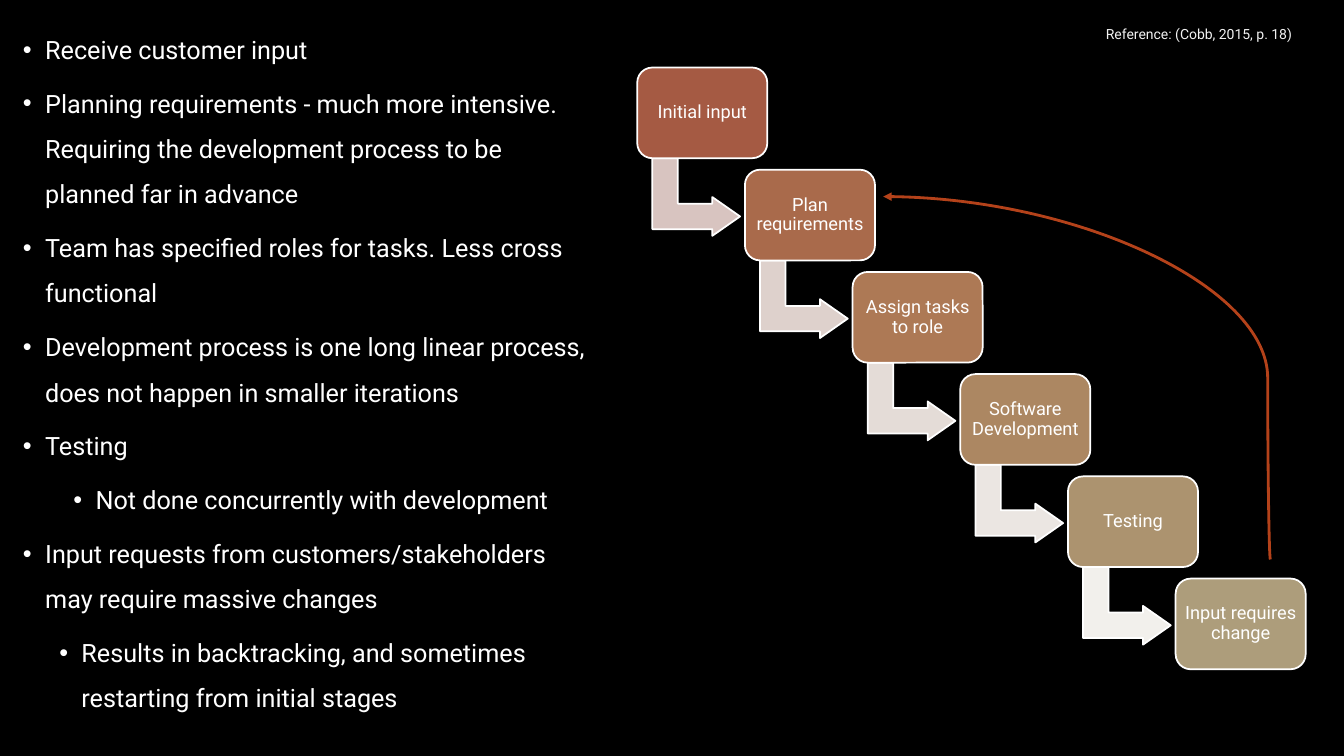
from dataclasses import dataclass

from pptx import Presentation
from pptx.dml.color import RGBColor
from pptx.enum import shapes, text
from pptx.oxml import ns
from pptx.oxml.xmlchemy import OxmlElement
from pptx.util import Inches, Pt


@dataclass(frozen=True)
class Theme:
    font: str = "Roboto"
    background: str = "000000"
    white: str = "FFFFFF"
    reference: str = "F2F2F2"
    feedback: str = "B4421A"
    bullet_size: float = 18
    stage_size: float = 13
    reference_size: float = 10
    outline: float = 1.25
    feedback_width: float = 2


@dataclass(frozen=True)
class Stage:
    label: str
    fill: str
    arrow_fill: str | None = None


@dataclass(frozen=True)
class Bullet:
    label: str
    level: int = 0
    margin: float = 0.22


THEME = Theme()

STAGES = [
    Stage("Initial input", "A55A43", "D8C4C0"),
    Stage("Plan requirements", "A96A4B", "DED1CC"),
    Stage("Assign tasks to role", "AD7955", "E4DCD7"),
    Stage("Software Development", "AC8762", "EBE6E2"),
    Stage("Testing", "AC936F", "F2F0EC"),
    Stage("Input requires change", "AD9D7B"),
]
FIRST_LEFT, FIRST_TOP = 6.32, 0.67
LAST_LEFT, LAST_TOP = 11.66, 5.74
STEP_X = (LAST_LEFT - FIRST_LEFT) / (len(STAGES) - 1)
STEP_Y = (LAST_TOP - FIRST_TOP) / (len(STAGES) - 1)

BULLETS = [
    Bullet("Receive customer input"),
    Bullet("Planning requirements - much more intensive. Requiring the "
           "development process to be planned far in advance"),
    Bullet("Team has specified roles for tasks. Less cross functional"),
    Bullet("Development process is one long linear process, does not happen "
           "in smaller iterations"),
    Bullet("Testing"),
    Bullet("Not done concurrently with development", 1, 0.72),
    Bullet("Input requests from customers/stakeholders may require massive changes"),
    Bullet("Results in backtracking, and sometimes restarting from initial stages",
           1, 0.58),
]
HANGING = 0.22


def rgb(value: str) -> RGBColor:
    return RGBColor.from_string(value)


def format_runs(p, size: float, color: str) -> None:
    for r in p.runs:
        r.font.name = THEME.font
        r.font.size = Pt(size)
        r.font.color.rgb = rgb(color)


def add_outlined(slide, kind, left: float, top: float, width: float,
                 height: float, fill: str):
    """Add a preset shape with a solid fill and the white outline."""
    sp = slide.shapes.add_shape(kind, Inches(left), Inches(top),
                                Inches(width), Inches(height))
    sp.shadow.inherit = False
    sp.fill.solid()
    sp.fill.fore_color.rgb = rgb(fill)
    sp.line.color.rgb = rgb(THEME.white)
    sp.line.width = Pt(THEME.outline)
    return sp


def add_stage(slide, stage: Stage, left: float, top: float) -> None:
    """Add one step of the cascade and the bent arrow that leaves it."""
    if stage.arrow_fill:
        arrow = add_outlined(slide, shapes.MSO_SHAPE.BENT_UP_ARROW, left + 0.2,
                             top + 0.85, 0.77, 0.87, stage.arrow_fill)
        arrow.rotation = 90
        for i, value in enumerate((0.328, 0.25, 0.358)):
            arrow.adjustments[i] = value
    box = add_outlined(slide, shapes.MSO_SHAPE.ROUNDED_RECTANGLE, left, top,
                       1.29, 0.9, stage.fill)
    tf = box.text_frame
    tf.text = stage.label
    tf.word_wrap = True
    tf.vertical_anchor = text.MSO_ANCHOR.MIDDLE
    tf.margin_left = tf.margin_right = Inches(0.05)
    tf.margin_top = tf.margin_bottom = Inches(0.05)
    p = tf.paragraphs[0]
    p.alignment = text.PP_ALIGN.CENTER
    p.line_spacing = 0.9
    format_runs(p, THEME.stage_size, THEME.white)


def add_feedback_arrow(slide) -> None:
    """Add the curved arrow from the last stage back to planning."""
    line = slide.shapes.add_connector(
        shapes.MSO_CONNECTOR.CURVE, Inches(8.76), Inches(1.95),
        Inches(12.6), Inches(5.55))
    line.line.color.rgb = rgb(THEME.feedback)
    line.line.width = Pt(THEME.feedback_width)
    sp_pr = line._element.spPr
    sp_pr.find(ns.qn("a:xfrm")).set("rot", str(180 * 60000))
    guide = OxmlElement("a:gd")
    guide.set("name", "adj1")
    guide.set("fmla", "val 700")
    geometry = sp_pr.find(ns.qn("a:prstGeom"))
    guides = geometry.find(ns.qn("a:avLst"))
    if guides is None:
        guides = OxmlElement("a:avLst")
        geometry.append(guides)
    guides.append(guide)
    tail = OxmlElement("a:tailEnd")
    tail.set("type", "triangle")
    sp_pr.find(ns.qn("a:ln")).append(tail)
    sp_pr.append(OxmlElement("a:effectLst"))


def add_text_frame(slide, left: float, top: float, width: float, height: float):
    tf = slide.shapes.add_textbox(Inches(left), Inches(top), Inches(width),
                                  Inches(height)).text_frame
    tf.word_wrap = True
    return tf


def add_bullets(slide) -> None:
    tf = add_text_frame(slide, 0.13, 0.14, 5.8, 7.54)
    tf.auto_size = text.MSO_AUTO_SIZE.SHAPE_TO_FIT_TEXT
    tf.text = "\n".join(bullet.label for bullet in BULLETS)
    for p, bullet in zip(tf.paragraphs, BULLETS):
        p.level = bullet.level
        p.line_spacing = 1.5
        p.space_after = Pt(6)
        format_runs(p, THEME.bullet_size, THEME.white)
        p_pr = p._p.get_or_add_pPr()
        p_pr.set("marL", str(Inches(bullet.margin)))
        p_pr.set("indent", str(-Inches(HANGING)))
        for tag, name, value in (("a:buFont", "typeface", "Arial"),
                                 ("a:buChar", "char", "•")):
            mark = OxmlElement(tag)
            mark.set(name, value)
            p_pr.append(mark)


def add_reference(slide) -> None:
    tf = add_text_frame(slide, 10.87, 0.14, 2.18, 0.4)
    tf.vertical_anchor = text.MSO_ANCHOR.MIDDLE
    tf.text = "Reference: (Cobb, 2015, p. 18)"
    format_runs(tf.paragraphs[0], THEME.reference_size, THEME.reference)


def main() -> None:
    prs = Presentation()
    prs.slide_width, prs.slide_height = Inches(13.33), Inches(7.5)
    slide = prs.slides.add_slide(prs.slide_layouts[6])
    slide.background.fill.solid()
    slide.background.fill.fore_color.rgb = rgb(THEME.background)
    for i, stage in enumerate(STAGES):
        add_stage(slide, stage, FIRST_LEFT + i * STEP_X, FIRST_TOP + i * STEP_Y)
    add_feedback_arrow(slide)
    add_bullets(slide)
    add_reference(slide)
    prs.save("out.pptx")


if __name__ == "__main__":
    main()
